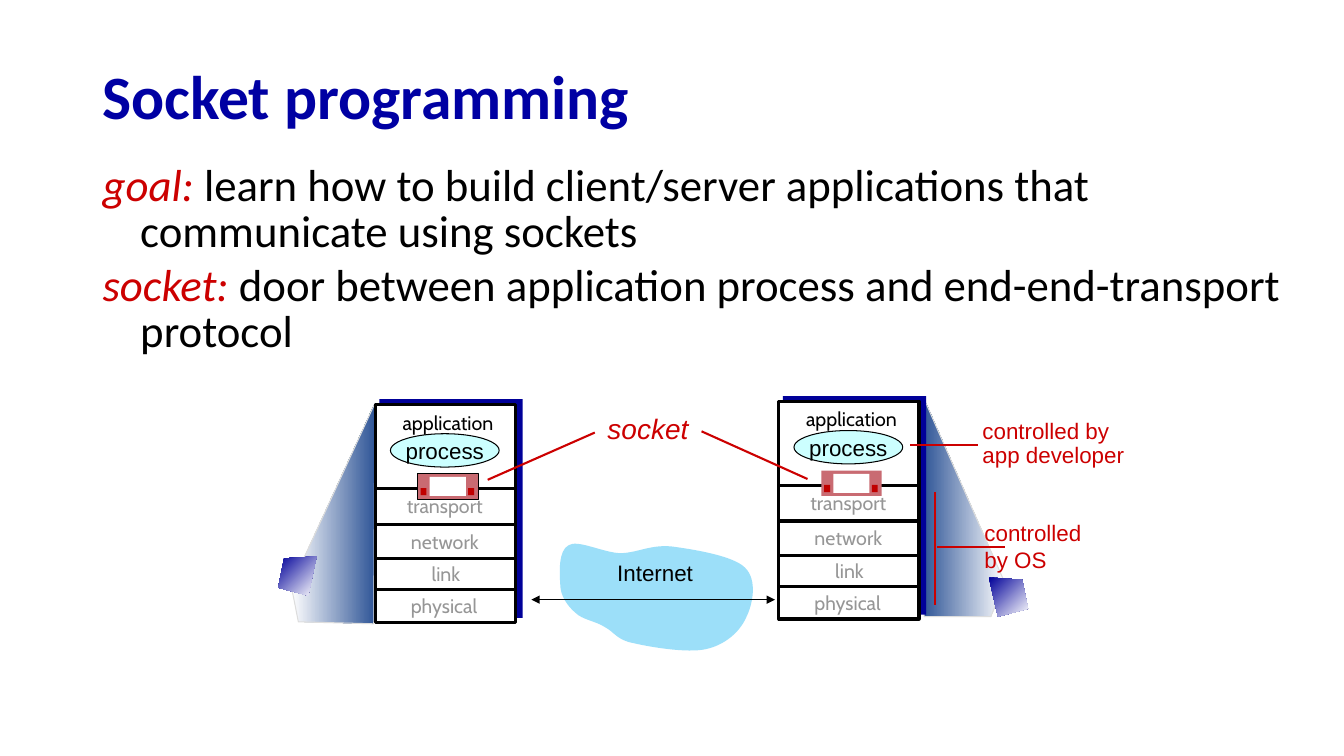
from dataclasses import dataclass

from lxml.etree import SubElement
from pptx import Presentation
from pptx.dml.color import RGBColor
from pptx.enum.shapes import MSO_CONNECTOR, MSO_SHAPE
from pptx.enum.text import MSO_ANCHOR, MSO_AUTO_SIZE, PP_ALIGN
from pptx.oxml.ns import qn
from pptx.util import Cm, Pt


@dataclass(frozen=True)
class Theme:
    title: str = "0000A3"
    navy: str = "000099"
    red: str = "CC0000"
    black: str = "000000"
    white: str = "FFFFFF"
    grey: str = "969696"
    beam: str = "2F5597"
    beam_edge: str = "DDDDDD"
    cloud: str = "9CDFF9"
    process: str = "CCFFFF"
    door: str = "C96B72"
    knob: str = "C00000"
    title_size: int = 44
    body_size: int = 32
    socket_size: int = 20
    note_size: int = 16
    layer_size: int = 14
    body_font: str = "Calibri"
    note_font: str = "Arial"
    layer_font: str = "Cabin"


THEME = Theme()
rgb = RGBColor.from_string

deck = Presentation()
deck.slide_width, deck.slide_height = Cm(33.87), Cm(19.05)
slide = deck.slides.add_slide(deck.slide_layouts[1])
shapes = slide.shapes


def add_block(kind, x, y, w, h, fill, edge=0):
    """Add a filled preset shape, with a black outline of `edge` points."""
    block = shapes.add_shape(kind, Cm(x), Cm(y), Cm(w), Cm(h))
    block.shadow.inherit = False
    block.fill.solid()
    block.fill.fore_color.rgb = rgb(fill)
    if edge:
        block.line.color.rgb = rgb(THEME.black)
        block.line.width = Pt(edge)
    else:
        block.line.fill.background()
    return block


def add_rule(x1, y1, x2, y2, color, width):
    """Add a straight line without shadow."""
    rule = shapes.add_connector(MSO_CONNECTOR.STRAIGHT, Cm(x1), Cm(y1), Cm(x2), Cm(y2))
    rule.line.color.rgb = rgb(color)
    rule.line.width = Pt(width)
    SubElement(rule._element.spPr, qn("a:effectLst"))
    return rule


# Title
title = shapes.title
title.left, title.top, title.width, title.height = Cm(2.33), Cm(1.26), Cm(29.21), Cm(2.49)
title.text_frame.auto_size = MSO_AUTO_SIZE.NONE
title.text_frame.vertical_anchor = MSO_ANCHOR.MIDDLE
heading = title.text_frame.paragraphs[0]
heading.alignment = PP_ALIGN.LEFT
heading.line_spacing = 0.9
run = heading.add_run()
run.text = "Socket programming"
run.font.name, run.font.size, run.font.bold = THEME.body_font, Pt(THEME.title_size), True
run.font.color.rgb = rgb(THEME.title)

# Definitions
body = slide.placeholders[1]
body.left, body.top, body.width, body.height = Cm(2.33), Cm(4.03), Cm(30.91), Cm(4.27)
body.text_frame.auto_size = MSO_AUTO_SIZE.NONE
definitions = [
    ("goal:", " learn how to build client/server applications that communicate using sockets"),
    ("socket:", " door between application process and end-end-transport protocol"),
]
for index, (term, meaning) in enumerate(definitions):
    entry = body.text_frame.add_paragraph() if index else body.text_frame.paragraphs[0]
    properties = entry._p.get_or_add_pPr()
    properties.set("marL", str(Cm(0.95)))
    properties.set("indent", str(-Cm(0.95)))
    SubElement(properties, qn("a:buNone"))
    entry.line_spacing = 0.85
    entry.space_before = Pt(6.4 * index)
    for words, color, italic in ((term, THEME.red, True), (meaning, THEME.black, False)):
        run = entry.add_run()
        run.text = words
        run.font.name, run.font.size, run.font.italic = THEME.body_font, Pt(THEME.body_size), italic
        run.font.color.rgb = rgb(color)

# Cloud outline: a start, then two control points and an end point per row
cloud = [
    (14.12, 14.73),
    (14.1, 14.43), (14.07, 13.87), (14.33, 13.74),
    (14.55, 13.59), (15.19, 13.92), (15.62, 13.94),
    (16.05, 13.94), (16.38, 13.72), (16.92, 13.77),
    (17.45, 13.84), (18.47, 14), (18.77, 14.3),
    (19.1, 14.61), (18.97, 15.24), (18.8, 15.57),
    (18.64, 15.93), (18.26, 16.26), (17.78, 16.36),
    (17.32, 16.46), (16.41, 16.31), (15.98, 16.21),
    (15.54, 16.13), (15.49, 15.93), (15.24, 15.8),
    (15.01, 15.65), (14.68, 15.62), (14.5, 15.44),
    (14.3, 15.27), (14.12, 15.01), (14.12, 14.73),
]

# Light beams, cloud and hosts: points, fill colours, gradient angle, edge colour
beam_fill = (THEME.white, THEME.beam)
host_fill = (THEME.navy, THEME.white)
outlines = [
    ([(25.32, 14.68), (23.27, 10.01), (23.29, 15.54), (24.97, 15.54)], beam_fill, 180, THEME.beam_edge),
    (cloud, (THEME.cloud,), 0, None),
    ([(7.34, 14.76), (9.45, 10.16), (9.42, 15.72), (7.52, 15.67)], beam_fill, 0, THEME.beam_edge),
    ([(7.98, 14.02), (7.16, 14.07), (7.01, 14.81), (7.77, 15.01)], host_fill, 315, None),
    ([(24.92, 14.55), (25.76, 14.61), (25.91, 15.34), (25.15, 15.54)], host_fill, 315, None),
]
for points, colors, angle, edge in outlines:
    corners = [(Cm(x), Cm(y)) for x, y in points]
    builder = shapes.build_freeform(*corners[0])
    builder.add_line_segments(corners[1:], close=True)
    outline = builder.convert_to_shape()
    outline.shadow.inherit = False
    if points is cloud:
        # Join each three segments into one curve
        segments = list(outline._element.iter(qn("a:lnTo")))
        for curve, second, third in zip(segments[::3], segments[1::3], segments[2::3]):
            curve.tag = qn("a:cubicBezTo")
            for segment in (second, third):
                curve.append(segment[0])
                segment.getparent().remove(segment)
        outline.fill.solid()
        outline.fill.fore_color.rgb = rgb(colors[0])
    else:
        outline.fill.gradient()
        outline.fill.gradient_angle = angle
        for stop, color in zip(outline.fill.gradient_stops, colors):
            stop.color.rgb = rgb(color)
    if edge:
        outline.line.color.rgb = rgb(edge)
        outline.line.width = Pt(0.75)
    else:
        outline.line.fill.background()

# Labels: lines, x, y, w, h, font, size, colour, line spacing, centred, wrapped, italic
note = (THEME.note_font, THEME.note_size)
labels = [
    (["Internet"], 15.29, 13.97, 2.44, 0.94, *note, THEME.black, 1, True, False, False),
    (["controlled", "by OS"], 24.56, 12.95, 2.95, 2.29, *note, THEME.red, 1, False, False, False),
    (["controlled by", "app developer"], 24.51, 10.46, 4.09, 1.47, *note, THEME.red, 0.9, False, False, False),
    (["socket"], 15.06, 10.34, 2.8, 1.02, THEME.note_font, THEME.socket_size, THEME.red,
     0.9, False, False, True),
]

# Protocol stacks with process and socket door
layers = [
    ("application", 0, -0.03, THEME.black),
    ("transport", -0.08, 2.08, THEME.grey),
    ("network", -0.08, 2.97, THEME.grey),
    ("link", -0.05, 3.78, THEME.grey),
    ("physical", -0.1, 4.6, THEME.grey),
]
for x, y, door_edge in ((9.46, 10.19, 0.75), (19.63, 10.11, 0)):
    add_block(MSO_SHAPE.RECTANGLE, x + 0.1, y - 0.13, 3.61, 5.51, THEME.navy)
    add_block(MSO_SHAPE.RECTANGLE, x, y, 3.53, 5.49, THEME.white, 2.25)
    for divider in (2.13, 3.02, 3.89, 4.67):
        add_rule(x + 0.03, y + divider, x + 3.54, y + divider, THEME.black, 2.25)
    for layer, dx, dy, color in layers:
        labels.append(([layer], x + dx, y + dy, 3.66, 0.91, THEME.layer_font, THEME.layer_size,
                       color, 1.1, True, True, False))

    process = add_block(MSO_SHAPE.OVAL, x + 0.38, y + 0.74, 2.74, 0.84, THEME.process, 0.75)
    process.text_frame.word_wrap = False
    process.text_frame.vertical_anchor = MSO_ANCHOR.MIDDLE
    process.text_frame.paragraphs[0].alignment = PP_ALIGN.CENTER
    run = process.text_frame.paragraphs[0].add_run()
    run.text = "process"
    run.font.name, run.font.size = THEME.note_font, Pt(THEME.note_size)
    run.font.color.rgb = rgb(THEME.black)

    add_block(MSO_SHAPE.RECTANGLE, x + 1.07, y + 1.75, 1.52, 0.64, THEME.door, door_edge)
    add_block(MSO_SHAPE.RECTANGLE, x + 1.37, y + 1.83, 0.91, 0.48, THEME.white)
    for knob in (1.14, 2.34):
        add_block(MSO_SHAPE.RECTANGLE, x + knob, y + 2.11, 0.15, 0.18, THEME.knob)

# Internet link with an arrowhead at both ends
link = add_rule(13.39, 15.11, 19.53, 15.11, THEME.black, 0.75)
for end in ("a:headEnd", "a:tailEnd"):
    SubElement(link.line._get_or_add_ln(), qn(end), type="triangle")

# Callout lines: developer, operating system (two), sockets (two)
for ends in ((24.64, 11.21, 22.94, 11.21), (23.57, 12.4, 23.57, 15.24), (25.32, 13.79, 23.62, 13.79),
             (12.29, 12.09, 14.99, 10.9), (20.35, 12.07, 17.68, 10.87)):
    add_rule(*ends, THEME.red, 1.5)

# All labels
for lines, x, y, w, h, font, size, color, spacing, centred, wrapped, italic in labels:
    frame = shapes.add_textbox(Cm(x), Cm(y), Cm(w), Cm(h)).text_frame
    frame.word_wrap = wrapped
    frame.auto_size = MSO_AUTO_SIZE.SHAPE_TO_FIT_TEXT
    for index, words in enumerate(lines):
        row = frame.add_paragraph() if index else frame.paragraphs[0]
        row.alignment = PP_ALIGN.CENTER if centred else PP_ALIGN.LEFT
        row.line_spacing = spacing
        run = row.add_run()
        run.text = words
        run.font.name, run.font.size, run.font.italic = font, Pt(size), italic
        run.font.color.rgb = rgb(color)

deck.save("out.pptx")
